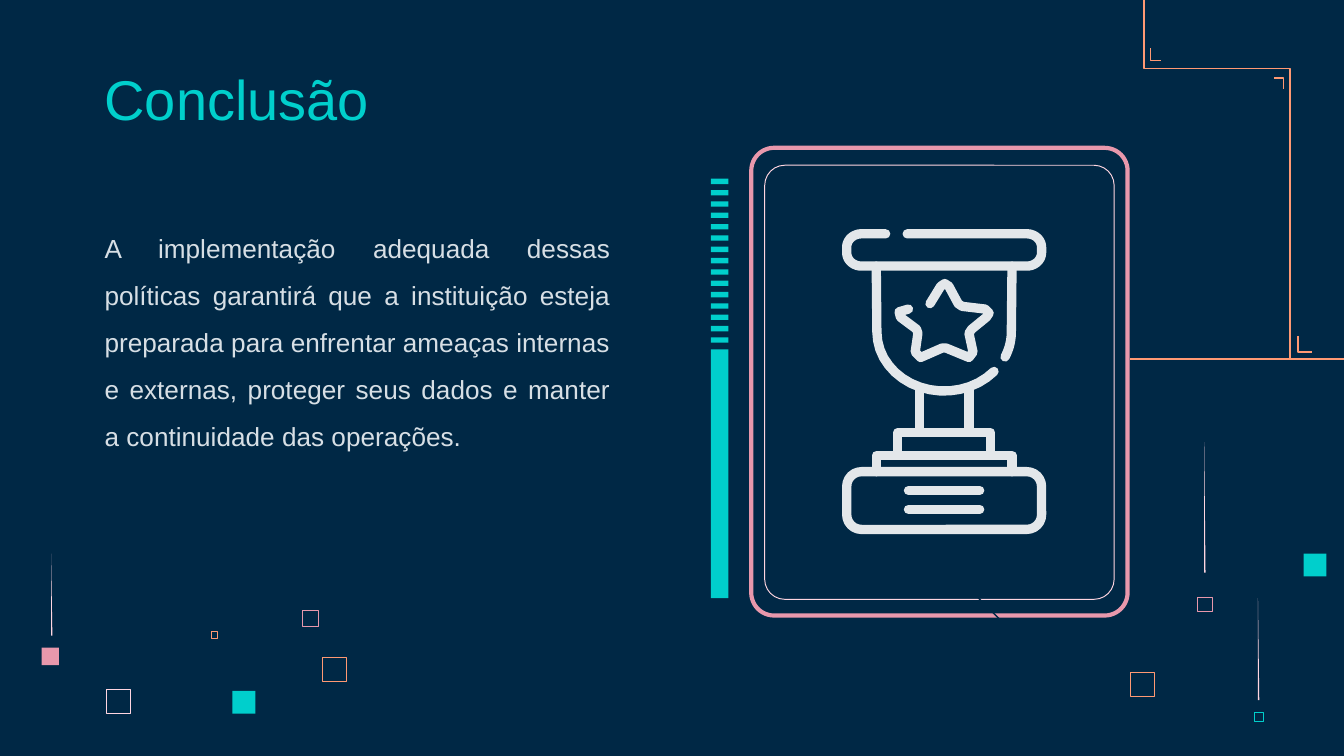
from collections import namedtuple
from math import cos, radians, sin

from lxml.etree import SubElement
from pptx import Presentation
from pptx.dml.color import RGBColor
from pptx.enum.shapes import MSO_CONNECTOR, MSO_SHAPE
from pptx.enum.text import MSO_ANCHOR, PP_ALIGN
from pptx.oxml.ns import qn
from pptx.util import Inches, Pt

NAVY = RGBColor(0x00, 0x28, 0x45)
TEAL = RGBColor(0x00, 0xCF, 0xCC)
PINK = RGBColor(0xE8, 0x98, 0xAC)
BLUSH = RGBColor(0xFF, 0xD6, 0xE1)
ORANGE = RGBColor(0xFF, 0x99, 0x73)
MIST = RGBColor(0xD7, 0xDF, 0xE5)
SILVER = RGBColor(0xE3, 0xE7, 0xEA)

Box = namedtuple("Box", "x y w h")


def paint(sp, fill=None, line=None, weight=0.75):
    """Set fill and outline, and drop the shadow."""
    sp.shadow.inherit = False
    if fill is None:
        sp.fill.background()
    else:
        sp.fill.solid()
        sp.fill.fore_color.rgb = fill
    if line is None:
        sp.line.fill.background()
    else:
        sp.line.color.rgb = line
        sp.line.width = Pt(weight)


def add_box(s, x, y, w, h, fill=None, line=None, weight=0.75, radius=0):
    """Add a rectangle, with round corners if a radius is given."""
    kind = MSO_SHAPE.ROUNDED_RECTANGLE if radius else MSO_SHAPE.RECTANGLE
    sp = s.shapes.add_shape(kind, Inches(x), Inches(y), Inches(w), Inches(h))
    if radius:
        sp.adjustments[0] = radius / min(w, h)
    paint(sp, fill, line, weight)
    return sp


def add_path(s, box, points, close=False, **style):
    """Add a freeform whose points are offsets from the box corner."""
    pts = [(Inches(box.x + x), Inches(box.y + y)) for x, y in points]
    fb = s.shapes.build_freeform(*pts[0])
    fb.add_line_segments(pts[1:], close=close)
    sp = fb.convert_to_shape()
    paint(sp, **style)
    return sp


def add_line(s, x1, y1, x2, y2, color, weight):
    """Add a straight connector without shadow."""
    cn = s.shapes.add_connector(
        MSO_CONNECTOR.STRAIGHT, Inches(x1), Inches(y1), Inches(x2), Inches(y2))
    cn.line.color.rgb = color
    cn.line.width = Pt(weight)
    SubElement(cn._element.spPr, qn("a:effectLst"))


def add_text(s, box, text, size, color):
    """Add a one-run text box and return its frame and paragraph."""
    tf = s.shapes.add_textbox(*[Inches(v) for v in box]).text_frame
    tf.word_wrap = True
    tf.margin_left = tf.margin_right = Inches(0.1)
    tf.margin_top = tf.margin_bottom = Inches(0.1)
    p = tf.paragraphs[0]
    r = p.add_run()
    r.text = text
    r.font.name = "Arial"
    r.font.size = Pt(size)
    r.font.color.rgb = color
    return tf, p


def arc(cx, cy, rx, ry, start, end, steps=16):
    """Return points along an elliptical arc, in degrees."""
    angles = [radians(start + (end - start) * i / steps) for i in range(steps + 1)]
    return [(cx + rx * cos(a), cy + ry * sin(a)) for a in angles]


def add_squares(s, box):
    """Scatter the small squares and tapering streaks along the bottom."""
    hollow = [(0.79, 1.84, 0.18, BLUSH, 0.75), (2.25, 1.25, 0.12, PINK, 0.5),
              (1.57, 1.41, 0.05, ORANGE, 0.5), (2.4, 1.6, 0.18, ORANGE, 0.5),
              (8.41, 1.71, 0.18, ORANGE, 0.5), (8.91, 1.15, 0.11, PINK, 0.23),
              (9.33, 2.01, 0.07, TEAL, 0.23)]
    for x, y, size, color, weight in hollow:
        add_box(s, box.x + x, box.y + y, size, size, line=color, weight=weight)
    for x, y, size, color in [(1.73, 1.85, 0.17, TEAL), (9.7, 0.83, 0.17, TEAL),
                              (0.31, 1.53, 0.13, PINK)]:
        add_box(s, box.x + x, box.y + y, size, size, fill=color)
    for x, y, h in [(8.96, 0, 0.97), (0.38, 0.83, 0.61), (9.36, 1.16, 0.76)]:
        add_path(s, box, [(x, y), (x, y + h), (x + 0.01, y + h)], close=True, fill=BLUSH)


def add_card(s, box):
    """Draw the double frame with the striped meter at its left."""
    meter, frame = 0.13, 0.3
    add_box(s, box.x + frame, box.y + 0.02, box.w - frame - 0.02, box.h - 0.04,
            line=PINK, weight=2.25, radius=0.17)
    add_box(s, box.x + 0.4, box.y + 0.15, box.w - 0.52, box.h - 0.29,
            line=BLUSH, weight=0.5, radius=0.15)
    count, first, last = 15, 0.25, 1.43
    pitch = (last - first) / (count - 1)
    for i in range(count):
        add_box(s, box.x, box.y + first + i * pitch, meter, 0.04, fill=TEAL)
    add_box(s, box.x, box.y + 1.52, meter, 1.85, fill=TEAL)


def add_title(s, box):
    """Write the heading on the bottom of its box."""
    tf, _ = add_text(s, box, "Conclusão", 30, TEAL)
    tf.vertical_anchor = MSO_ANCHOR.BOTTOM


def add_body(s, box):
    """Write the justified closing paragraph."""
    _, p = add_text(
        s, box,
        "A implementação adequada dessas políticas garantirá que a instituição "
        "esteja preparada para enfrentar ameaças internas e externas, proteger "
        "seus dados e manter a continuidade das operações.", 14, MIST)
    p.alignment = PP_ALIGN.JUSTIFY
    p.line_spacing = 1.5
    p.space_before = p.space_after = Pt(12)


def add_circuit(s, box):
    """Draw the stepped orange line with its corner marks."""
    right, bottom = box.x + box.w, box.y + box.h
    add_line(s, box.x, bottom, right, bottom, ORANGE, 1)
    for points in [
        [(0.1, 0), (0.1, 0.51), (1.19, 0.51), (1.19, box.h)],
        [(0.15, 0.36), (0.15, 0.45), (0.23, 0.45)],
        [(1.07, 0.58), (1.14, 0.58), (1.14, 0.66)],
        [(1.25, 2.5), (1.25, 2.62), (1.35, 2.62)],
    ]:
        add_path(s, box, points, line=ORANGE, weight=1)


def add_trophy(s, box):
    """Draw the trophy in thick round strokes."""
    left, right, mid = 0.04, box.w - 0.04, box.w / 2
    rim = ([(0.33, 0.03)] + arc(left + 0.11, 0.13, 0.11, 0.1, 270, 180)
           + arc(left + 0.11, 0.17, 0.11, 0.1, 180, 90)
           + arc(right - 0.11, 0.17, 0.11, 0.1, 90, 0)
           + arc(right - 0.11, 0.13, 0.11, 0.1, 0, -90) + [(0.49, 0.03)])
    cup = [(0.26, 0.27)] + arc(mid, 0.76, 0.5, 0.44, 180, 42)
    handle = [(1.27, 0.27)] + arc(mid, 0.76, 0.5, 0.44, 0, 25)
    star = [(0.66, 0.55), (0.74, 0.42), (0.77, 0.4), (0.8, 0.42), (0.87, 0.55),
            (0.9, 0.57), (1.07, 0.59), (1.1, 0.62), (1.08, 0.65), (0.97, 0.74),
            (0.95, 0.77), (0.98, 0.91), (0.95, 0.95), (0.78, 0.88), (0.75, 0.88),
            (0.59, 0.95), (0.55, 0.91), (0.57, 0.77), (0.56, 0.74), (0.44, 0.65),
            (0.43, 0.61), (0.5, 0.59)]
    upper_step = [(0.42, 1.67), (0.42, 1.51), (1.11, 1.51), (1.11, 1.67)]
    lower_step = [(0.26, 1.8), (0.26, 1.68), (1.27, 1.68), (1.27, 1.8)]
    stems = [[(x, 1.18), (x, 1.5)] for x in (0.58, 0.95)]
    plaque = [[(0.5, y), (1.03, y)] for y in (1.94, 2.08)]
    strokes = [add_path(s, box, points, line=SILVER, weight=5)
               for points in [rim, cup, handle, star, upper_step, lower_step,
                              *stems, *plaque]]
    strokes.append(add_box(s, box.x + left, box.y + 1.8, right - left, 0.43,
                           line=SILVER, weight=5, radius=0.11))
    for sp in strokes:
        ln = sp.line._get_or_add_ln()
        ln.set("cap", "rnd")
        SubElement(ln, qn("a:round"))


def main():
    """Build and save the slide."""
    prs = Presentation()
    prs.slide_width, prs.slide_height = Inches(10), Inches(5.625)
    s = prs.slides.add_slide(prs.slide_layouts[6])
    s.background.fill.solid()
    s.background.fill.fore_color.rgb = NAVY
    add_squares(s, Box(0, 3.29, 10, 2.08))
    add_card(s, Box(5.29, 1.08, 3.12, 3.52))
    add_title(s, Box(0.68, 0.45, 2.94, 0.63))
    add_body(s, Box(0.68, 1.51, 3.96, 2.1))
    add_circuit(s, Box(8.41, 0, 1.59, 2.67))
    add_line(s, 7.05, 4.22, 8.05, 5.22, NAVY, 0.75)
    add_trophy(s, Box(6.26, 1.71, 1.53, 2.26))
    prs.save("out.pptx")


if __name__ == "__main__":
    main()
